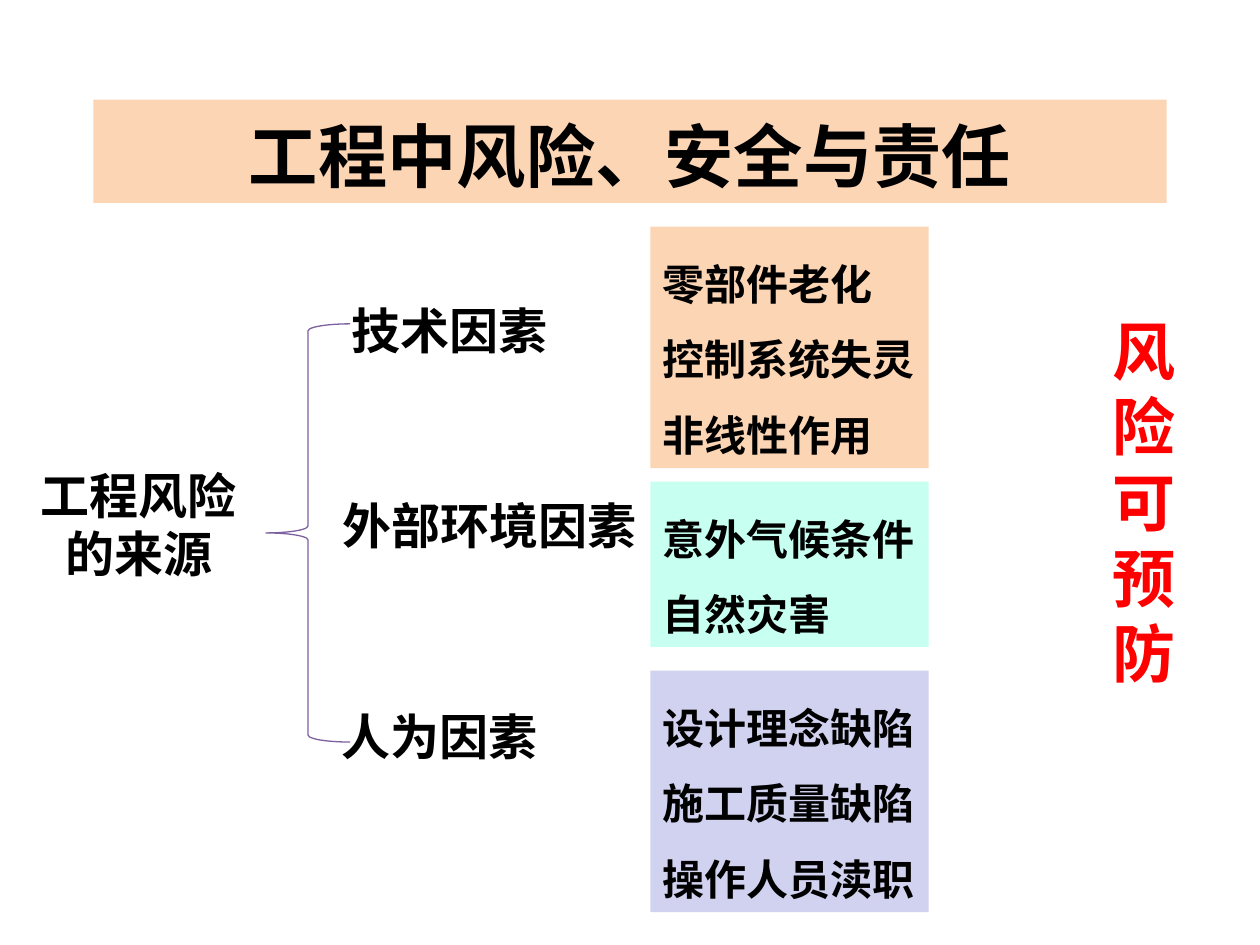
from pptx import Presentation
from pptx.dml.color import RGBColor
from pptx.enum.shapes import MSO_SHAPE
from pptx.enum.text import MSO_ANCHOR, MSO_AUTO_SIZE, PP_ALIGN
from pptx.util import Cm, Pt

# Content: boxes are (left, top, width, height) in centimetres
TITLE = ("工程中风险、安全与责任", (1.88, 2.01, 21.64, 2.08))
SOURCE = (["工程风险", "的来源"], (0.56, 9.25, 4.47, 2.64))
CONCLUSION = (["风险可预防"], (22.17, 6.17, 1.63, 7.95))
BRACE_BOX = (5.36, 6.53, 1.7, 8.43)
FACTORS = [
    {"name": "技术因素", "box": (6.83, 5.94, 4.47, 1.45), "fill": "peach",
     "examples": ["零部件老化", "控制系统失灵", "非线性作用"], "top": 4.57},
    {"name": "外部环境因素", "box": (6.63, 9.86, 6.48, 1.45), "fill": "mint",
     "examples": ["意外气候条件", "自然灾害"], "top": 9.71},
    {"name": "人为因素", "box": (6.63, 14.12, 4.47, 1.45), "fill": "lavender",
     "examples": ["设计理念缺陷", "施工质量缺陷", "操作人员渎职"], "top": 13.52},
]
EXAMPLES_LEFT, EXAMPLES_WIDTH = 13.11, 5.61
EXAMPLE_LINE, EXAMPLES_PADDING = 1.54, 0.25

THEME = {
    "color": {name: RGBColor.from_string(value) for name, value in {
        "black": "000000", "red": "FF0000", "brace": "7D60A0",
        "peach": "FCD5B5", "mint": "C7FFF0", "lavender": "D1D1F0"}.items()},
    "size": {"title": 39.6, "label": 28, "example": 24, "conclusion": 36},
    "font": {"title": "Calibri", "label": "Cabin", "example": "Cabin",
             "conclusion": "Calibri"},
}


def lengths(box):
    return [Cm(value) for value in box]


def fill_shape(shape, color):
    shape.fill.solid()
    shape.fill.fore_color.rgb = THEME["color"][color]


def write(shape, lines, role, align, color="black", spacing=None, wrap=False,
          anchor=MSO_ANCHOR.TOP):
    frame = shape.text_frame
    frame.text = "\n".join(lines)
    frame.word_wrap = wrap
    frame.auto_size = MSO_AUTO_SIZE.NONE
    frame.vertical_anchor = anchor
    for paragraph in frame.paragraphs:
        paragraph.alignment = align
        if spacing:
            paragraph.line_spacing = spacing
        font = paragraph.font
        font.name = THEME["font"][role]
        font.size = Pt(THEME["size"][role])
        font.bold = True
        font.color.rgb = THEME["color"][color]


def add_text(slide, lines, box, role, align, **options):
    write(slide.shapes.add_textbox(*lengths(box)), lines, role, align, **options)


def add_examples(slide, factor):
    height = EXAMPLE_LINE * len(factor["examples"]) + EXAMPLES_PADDING
    box = (EXAMPLES_LEFT, factor["top"], EXAMPLES_WIDTH, height)
    panel = slide.shapes.add_shape(MSO_SHAPE.RECTANGLE, *lengths(box))
    panel.shadow.inherit = False
    panel.line.fill.background()
    fill_shape(panel, factor["fill"])
    write(panel, factor["examples"], "example", PP_ALIGN.LEFT, spacing=1.5)


def main():
    presentation = Presentation()
    presentation.slide_width, presentation.slide_height = Cm(25.4), Cm(19.05)
    slide = presentation.slides.add_slide(presentation.slide_layouts[5])

    # Title band
    text, box = TITLE
    title = slide.shapes.title
    title.left, title.top, title.width, title.height = lengths(box)
    fill_shape(title, "peach")
    write(title, [text], "title", PP_ALIGN.CENTER, wrap=True,
          anchor=MSO_ANCHOR.BOTTOM)

    # Source of risk and its brace
    add_text(slide, *SOURCE, "label", PP_ALIGN.CENTER)
    brace = slide.shapes.add_shape(MSO_SHAPE.LEFT_BRACE, *lengths(BRACE_BOX))
    brace.shadow.inherit = False
    brace.fill.background()
    brace.line.color.rgb = THEME["color"]["brace"]
    brace.line.width = Pt(0.75)

    # Factors with their examples
    for factor in FACTORS:
        add_text(slide, [factor["name"]], factor["box"], "label", PP_ALIGN.CENTER)
        add_examples(slide, factor)

    # Conclusion: the narrow box stacks one character per line
    add_text(slide, *CONCLUSION, "conclusion", PP_ALIGN.LEFT, color="red", wrap=True)

    presentation.save("out.pptx")


if __name__ == "__main__":
    main()
